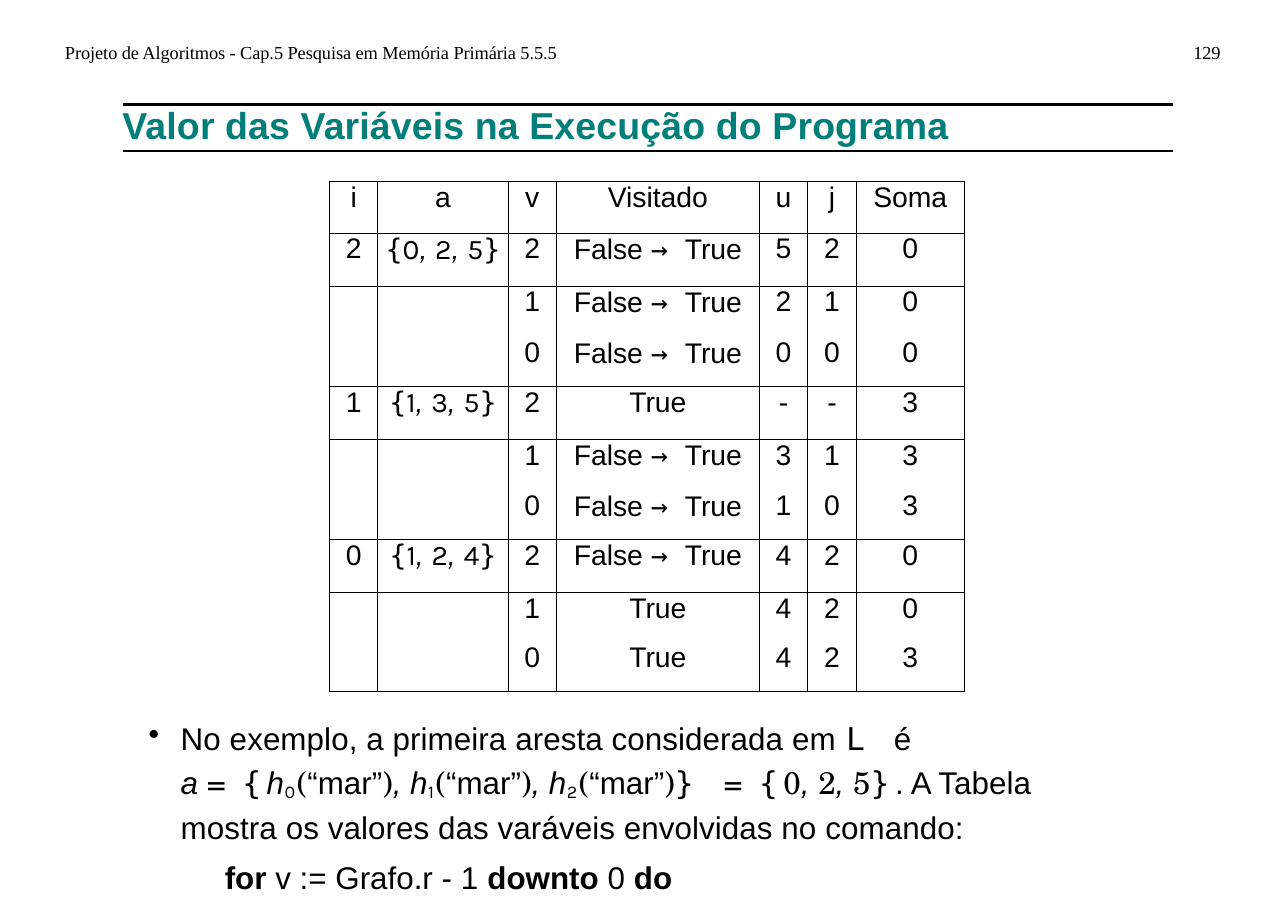
"""Build the slide on variable values during program execution."""
from dataclasses import dataclass
from typing import Optional

from lxml import etree
from pptx import Presentation
from pptx.dml.color import RGBColor
from pptx.enum.shapes import MSO_CONNECTOR
from pptx.enum.text import PP_ALIGN
from pptx.oxml.ns import qn
from pptx.util import Pt

STRAIGHT = MSO_CONNECTOR.STRAIGHT
CENTER, LEFT = PP_ALIGN.CENTER, PP_ALIGN.LEFT
COLORS = {"text": "000000", "title": "007F7A"}
SANS, SERIF, MONO = "Arial", "Times New Roman", "DejaVu Sans Mono"
MATH, DIGIT = "TeX Gyre Schola", "Karla"
BORDER_WIDTH = 0.69
COLUMN_WIDTHS = (31.7, 85, 31.7, 132.5, 31.7, 31.7, 70.6)
ROW_HEIGHTS = (33.8, 34.6, 33.1, 32.4, 34.6, 33.1, 32.4, 34.6, 32.4, 32.4)


@dataclass(frozen=True)
class Run:
    text: str
    font: Optional[str] = None
    size: Optional[float] = None
    bold: Optional[bool] = None
    italic: Optional[bool] = None
    spacing: float = 0
    baseline: int = 0


@dataclass(frozen=True)
class Style:
    font: str
    size: float
    color: str = "text"
    bold: bool = False
    align: PP_ALIGN = LEFT


@dataclass(frozen=True)
class Label:
    left: float
    top: float
    width: float
    height: float
    run: Run
    style: Style


@dataclass(frozen=True)
class BodyLine:
    runs: list[Run]
    margin: float
    bullet: bool = False
    space_before: float = 0
    line_spacing: float = 1


HEADER_STYLE = Style(SERIF, 12)
TITLE_STYLE = Style(SANS, 24.5, "title", True)
CELL_STYLE = Style(SANS, 18.5, align=CENTER)
BODY_STYLE = Style(SANS, 20.5)

LABELS = [
    Label(42.5, 26.6, 340, 15, Run(
        "Projeto de Algoritmos - Cap.5 Pesquisa em Memória Primária 5.5.5",
        spacing=-0.05), HEADER_STYLE),
    Label(779.8, 26.6, 22, 15, Run("129", spacing=-0.05), HEADER_STYLE),
    Label(80, 67, 686, 30, Run("Valor das Variáveis na Execução do Programa",
                               spacing=0.1), TITLE_STYLE),
]
RULE_LEFT, RULE_RIGHT = 80.6, 766.8
RULE_TOPS = (68.4, 98.6)


def edge_set(*values: int) -> list[Run]:
    runs = [Run("{", MONO)]
    for position, value in enumerate(values):
        if position:
            runs.append(Run(", ", italic=True))
        runs.append(Run(str(value), DIGIT))
    return runs + [Run("}", MONO)]


def plain(text: str) -> list[Run]:
    return [Run(text)] if text else []


VISIT = [Run("False "), Run("→ ", MONO), Run("True")]
VISITED = plain("True")
EMPTY: list[Run] = []
TABLE_ROWS = [
    ("i", plain("a"), "v", plain("Visitado"), "u", "j", "Soma"),
    ("2", edge_set(0, 2, 5), "2", VISIT, "5", "2", "0"),
    ("", EMPTY, "1", VISIT, "2", "1", "0"),
    ("", EMPTY, "0", VISIT, "0", "0", "0"),
    ("1", edge_set(1, 3, 5), "2", VISITED, "-", "-", "3"),
    ("", EMPTY, "1", VISIT, "3", "1", "3"),
    ("", EMPTY, "0", VISIT, "1", "0", "3"),
    ("0", edge_set(1, 2, 4), "2", VISIT, "4", "2", "0"),
    ("", EMPTY, "1", VISITED, "4", "2", "0"),
    ("", EMPTY, "0", VISITED, "4", "2", "3"),
]
OPEN_BELOW = {2, 5, 8}

COMMA = Run(", ", italic=True)
EQUALS = Run("= ", MATH, spacing=2.5)
OPEN_BRACE = Run("{", MONO, spacing=3.6)


def hash_call(index: int) -> list[Run]:
    return [Run("h", italic=True, spacing=0.2),
            Run(str(index), DIGIT, 20.2, spacing=1.1, baseline=-12000),
            Run("(", MATH), Run("“mar”"), Run(")", MATH)]


EDGE_LINE = [
    Run("a ", italic=True), EQUALS, OPEN_BRACE,
    *hash_call(0), COMMA, *hash_call(1), COMMA, *hash_call(2),
    Run("} ", MONO, spacing=3.6), EQUALS, OPEN_BRACE,
    Run("0", MATH), COMMA, Run("2", MATH), COMMA, Run("5", MATH),
    Run("}", MONO, spacing=3.6),
    Run(". A Tabela mostra os valores das varáveis envolvidas no comando:", spacing=0.05),
]
BODY = [
    BodyLine([Run("No exemplo, a primeira aresta considerada em ", spacing=0.05),
              Run("L ", MONO, spacing=3.3), Run("é")], 21.6, bullet=True),
    BodyLine(EDGE_LINE, 21.6, line_spacing=1.16),
    BodyLine([Run("for ", bold=True), Run("v := Grafo.r - 1 "), Run("downto ", bold=True),
              Run("0 "), Run("do", bold=True)], 50.4, space_before=8.3),
]


def fill_paragraph(paragraph, runs: list[Run], style: Style) -> None:
    paragraph.alignment = style.align
    paragraph.font.name = style.font
    paragraph.font.size = Pt(style.size)
    paragraph.font.bold = style.bold
    paragraph.font.color.rgb = RGBColor.from_string(COLORS[style.color])
    for item in runs:
        run = paragraph.add_run()
        run.text = item.text
        run.font.name = item.font
        run.font.size = Pt(item.size) if item.size else None
        run.font.bold = item.bold
        run.font.italic = item.italic
        properties = run.font._element
        if item.spacing:
            properties.set("spc", str(round(item.spacing * 100)))
        if item.baseline:
            properties.set("baseline", str(item.baseline))


def add_text_frame(slide, left: float, top: float, width: float, height: float):
    frame = slide.shapes.add_textbox(Pt(left), Pt(top), Pt(width), Pt(height)).text_frame
    frame.word_wrap = True
    frame.margin_left = frame.margin_right = frame.margin_top = frame.margin_bottom = 0
    return frame


def add_rule(slide, top: float) -> None:
    rule = slide.shapes.add_connector(STRAIGHT, Pt(RULE_LEFT), Pt(top), Pt(RULE_RIGHT), Pt(top))
    rule.line.width = Pt(1.73)
    rule.line.color.rgb = RGBColor.from_string(COLORS["text"])
    etree.SubElement(rule._element.spPr, qn("a:effectLst"))


def add_borders(cell, sides: str) -> None:
    properties = cell._tc.get_or_add_tcPr()
    for side in "LRTB":
        line = etree.SubElement(properties, qn(f"a:ln{side}"), w=str(Pt(BORDER_WIDTH)))
        if side in sides:
            fill = etree.SubElement(line, qn("a:solidFill"))
            etree.SubElement(fill, qn("a:srgbClr"), val=COLORS["text"])
        else:
            etree.SubElement(line, qn("a:noFill"))


def add_trace_table(slide) -> None:
    table = slide.shapes.add_table(
        len(ROW_HEIGHTS), len(COLUMN_WIDTHS), Pt(215.3), Pt(118.8),
        Pt(sum(COLUMN_WIDTHS)), Pt(sum(ROW_HEIGHTS))).table
    table.first_row = table.horz_banding = False
    for column, width in zip(table.columns, COLUMN_WIDTHS):
        column.width = Pt(width)
    for index, (row, height, values) in enumerate(zip(table.rows, ROW_HEIGHTS, TABLE_ROWS)):
        row.height = Pt(height)
        sides = "LR" + "T" * (index - 1 not in OPEN_BELOW) + "B" * (index not in OPEN_BELOW)
        for cell, value in zip(row.cells, values):
            cell.margin_left = cell.margin_right = cell.margin_top = cell.margin_bottom = 0
            add_borders(cell, sides)
            cell.fill.background()
            runs = plain(value) if isinstance(value, str) else value
            fill_paragraph(cell.text_frame.paragraphs[0], runs, CELL_STYLE)


def add_body(slide) -> None:
    frame = add_text_frame(slide, 96.5, 470.2, 639.4, 116)
    for index, line in enumerate(BODY):
        paragraph = frame.add_paragraph() if index else frame.paragraphs[0]
        paragraph.line_spacing = line.line_spacing
        if line.space_before:
            paragraph.space_before = Pt(line.space_before)
        properties = paragraph._p.get_or_add_pPr()
        properties.set("marL", str(Pt(line.margin)))
        if line.bullet:
            properties.set("indent", str(Pt(-20.9)))
            etree.SubElement(properties, qn("a:buChar"), char="•")
        fill_paragraph(paragraph, line.runs, BODY_STYLE)


def main() -> None:
    presentation = Presentation()
    presentation.slide_width, presentation.slide_height = Pt(841.7), Pt(594.7)
    slide = presentation.slides.add_slide(presentation.slide_layouts[6])
    for label in LABELS:
        frame = add_text_frame(slide, label.left, label.top, label.width, label.height)
        fill_paragraph(frame.paragraphs[0], [label.run], label.style)
    for top in RULE_TOPS:
        add_rule(slide, top)
    add_body(slide)
    add_trace_table(slide)
    presentation.save("out.pptx")


if __name__ == "__main__":
    main()
